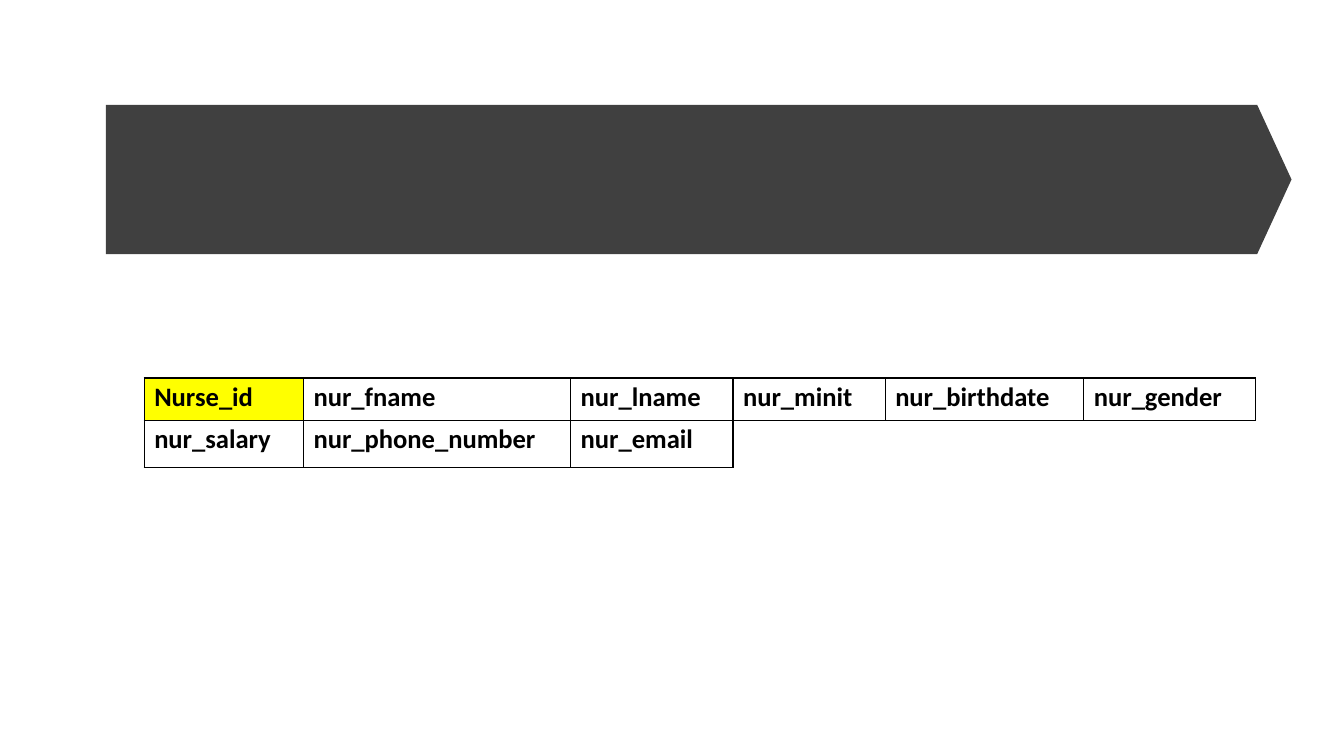
import dataclasses

import pptx
import pptx.dml.color
import pptx.enum.shapes
import pptx.oxml
import pptx.oxml.ns
import pptx.slide
import pptx.table
import pptx.util

Inches = pptx.util.Inches
RGBColor = pptx.dml.color.RGBColor

BLACK = RGBColor(0x00, 0x00, 0x00)
CHARCOAL = RGBColor(0x40, 0x40, 0x40)
YELLOW = RGBColor(0xFF, 0xFF, 0x00)

ALL_SIDES = "LRTB"
COLUMN_WIDTHS = (1.58, 2.65, 1.61, 1.51, 1.97, 1.7)
ROW_HEIGHTS = (0.42, 0.47)
CELL_MARGINS = {
    "margin_left": Inches(0.1),
    "margin_right": Inches(0.1),
    "margin_top": Inches(0.01),
    "margin_bottom": Inches(0),
}
FIELD_FONT = {"name": "Calibri", "size": pptx.util.Pt(19), "bold": True}
TABLE_FLAGS = {"first_row": False, "horz_banding": False}


@dataclasses.dataclass(frozen=True)
class Field:
    name: str
    fill: RGBColor | None = None
    borders: str = ALL_SIDES


FIELD_ROWS = (
    (
        Field("Nurse_id", YELLOW),
        Field("nur_fname"),
        Field("nur_lname"),
        Field("nur_minit"),
        Field("nur_birthdate"),
        Field("nur_gender"),
    ),
    (
        Field("nur_salary"),
        Field("nur_phone_number"),
        Field("nur_email"),
        Field("", borders="LT"),
        Field("", borders="T"),
        Field("", borders="T"),
    ),
)


def set_attributes(target: object, values: dict) -> None:
    for name, value in values.items():
        setattr(target, name, value)


def draw_borders(cell: pptx.table._Cell, visible: str) -> None:
    """Give the cell a black line on the visible sides and none on the others."""
    properties = cell._tc.get_or_add_tcPr()
    for side in ALL_SIDES:
        paint = "<a:noFill/>"
        if side in visible:
            paint = f'<a:solidFill><a:srgbClr val="{BLACK}"/></a:solidFill>'
        properties.append(pptx.oxml.parse_xml(
            f'<a:ln{side} {pptx.oxml.ns.nsdecls("a")} w="12700">{paint}</a:ln{side}>'
        ))


def draw_field(cell: pptx.table._Cell, field: Field) -> None:
    set_attributes(cell, CELL_MARGINS)
    draw_borders(cell, field.borders)
    if field.fill is None:
        cell.fill.background()
    else:
        cell.fill.solid()
        cell.fill.fore_color.rgb = field.fill
    if field.name:
        para = cell.text_frame.paragraphs[0]
        para.line_spacing = 1.07
        span = para.add_run()
        span.text = field.name
        set_attributes(span.font, FIELD_FONT)
        span.font.color.rgb = BLACK


def draw_banner(page: pptx.slide.Slide) -> None:
    """Draw the title band, a down arrow turned to point right."""
    banner = page.shapes.add_shape(
        pptx.enum.shapes.MSO_SHAPE.DOWN_ARROW,
        Inches(6.19), Inches(-4.1), Inches(1.48), Inches(11.76),
    )
    banner.rotation = 270
    banner.adjustments[0] = 1
    banner.adjustments[1] = 0.23
    banner.shadow.inherit = False
    banner.fill.solid()
    banner.fill.fore_color.rgb = CHARCOAL
    banner.line.fill.background()


def draw_nurse_table(page: pptx.slide.Slide) -> None:
    table = page.shapes.add_table(
        len(ROW_HEIGHTS), len(COLUMN_WIDTHS), Inches(1.43), Inches(3.75),
        Inches(sum(COLUMN_WIDTHS)), Inches(sum(ROW_HEIGHTS)),
    ).table
    set_attributes(table, TABLE_FLAGS)
    for column, width in zip(table.columns, COLUMN_WIDTHS):
        column.width = Inches(width)
    for row, height, fields in zip(table.rows, ROW_HEIGHTS, FIELD_ROWS):
        row.height = Inches(height)
        for cell, field in zip(row.cells, fields):
            draw_field(cell, field)
    table.cell(1, 3).merge(table.cell(1, 5))


def main() -> None:
    deck = pptx.Presentation()
    deck.slide_width = Inches(13.33)
    deck.slide_height = Inches(7.5)
    page = deck.slides.add_slide(deck.slide_layouts[6])
    draw_banner(page)
    draw_nurse_table(page)
    deck.save("out.pptx")


if __name__ == "__main__":
    main()
